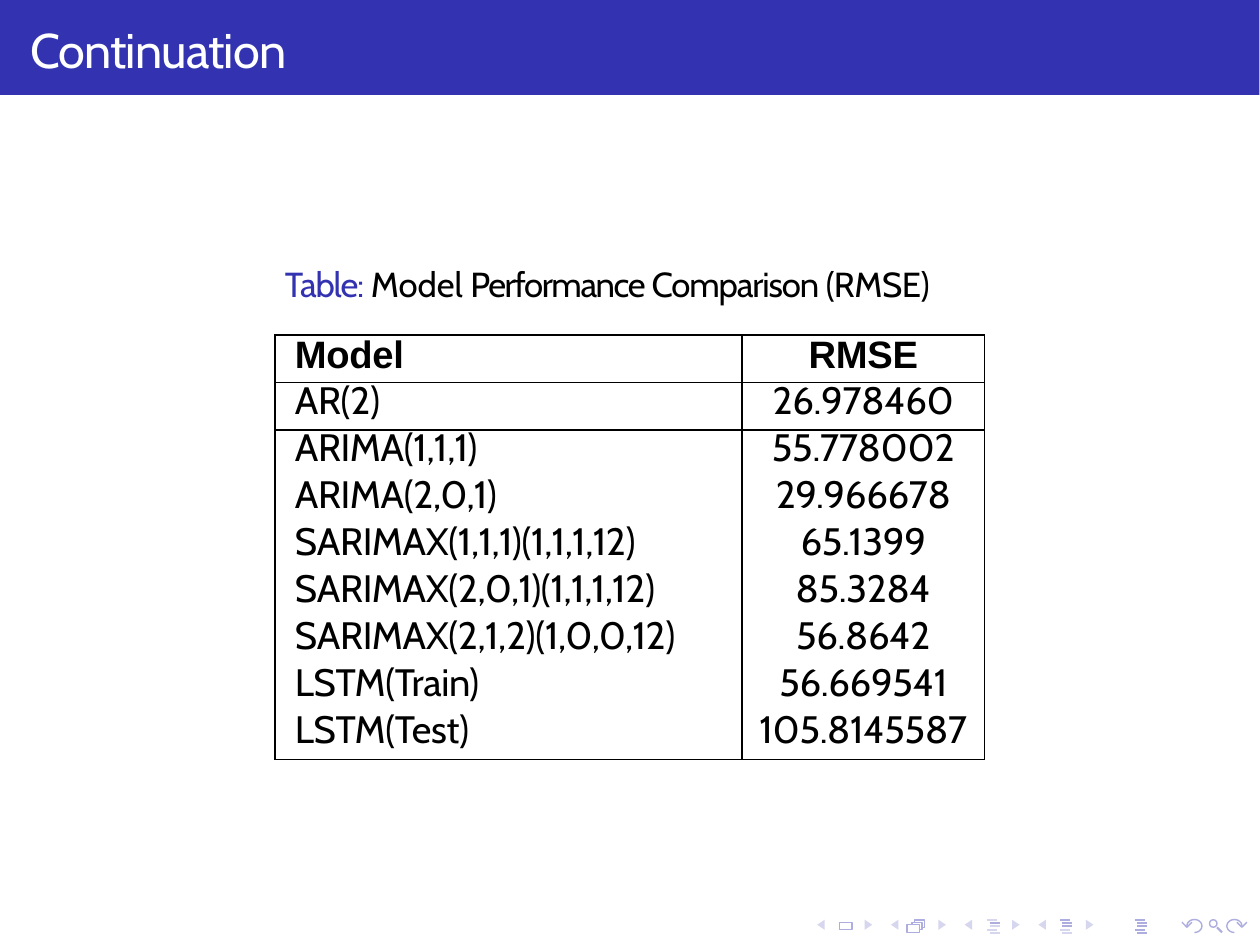
import math

import pptx
import pptx.dml.color
import pptx.enum.shapes
import pptx.enum.text
import pptx.oxml
import pptx.oxml.ns
import pptx.util

Inches, Pt = pptx.util.Inches, pptx.util.Pt
PRESET = pptx.enum.shapes.MSO_SHAPE
ALIGN = pptx.enum.text.PP_ALIGN

BLUE, WHITE, BLACK = "3333B2", "FFFFFF", "000000"
NAV_DARK, NAV_LIGHT = "ADADE0", "D6D6EF"

TITLE = [("Continuation", WHITE, -0.25)]
CAPTION = [  # text, colour, letter spacing in points
    ("Table: ", BLUE, -0.3),
    ("Model ", BLACK, 0),
    ("Performance ", BLACK, -0.4),
    ("Comparison ", BLACK, -0.3),
    ("(RMSE)", BLACK, -0.1),
]
RESULTS = [
    ("Model", "RMSE"),
    ("AR(2)", "26.978460"),
    ("ARIMA(1,1,1)", "55.778002"),
    ("ARIMA(2,0,1)", "29.966678"),
    ("SARIMAX(1,1,1)(1,1,1,12)", "65.1399"),
    ("SARIMAX(2,0,1)(1,1,1,12)", "85.3284"),
    ("SARIMAX(2,1,2)(1,0,0,12)", "56.8642"),
    ("LSTM(Train)", "56.669541"),
    ("LSTM(Test)", "105.8145587"),
]
COLUMN_WIDTHS = (1.87, 0.97)
TABLE_HEIGHT = 1.7
RULED_HEIGHT = 0.19
RULED_ABOVE = (0, 1, 2)  # rows with a line on top

NAV_TOP = 3.68
NAV_PITCH = 0.295
OUTLINE_DARK_BARS = {3.95: (1,), 4.24: (0, 1, 2), 4.54: (0, 1, 2, 3, 4)}
BAR_INDENTS = (0, 0.01, 0.01, 0, 0.01)


def rgb(value):
    return pptx.dml.color.RGBColor.from_string(value)


def style(shape, fill=None, line=None, width=0.4):
    shape.shadow.inherit = False
    if fill:
        shape.fill.solid()
        shape.fill.fore_color.rgb = rgb(fill)
    else:
        shape.fill.background()
    if line:
        shape.line.color.rgb = rgb(line)
        shape.line.width = Pt(width)
    else:
        shape.line.fill.background()


def outline(shapes, contours, closed):
    """Build one freeform from contours given in inches."""
    points = [[(Inches(x), Inches(y)) for x, y in contour] for contour in contours]
    builder = shapes.build_freeform(*points[0][0])
    for number, contour in enumerate(points):
        if number:
            builder.move_to(*contour[0])
        builder.add_line_segments(contour[1:], close=closed)
    return builder.convert_to_shape()


def stroke(shapes, x1, y1, x2, y2, color):
    line = shapes.add_connector(pptx.enum.shapes.MSO_CONNECTOR.STRAIGHT,
                                Inches(x1), Inches(y1), Inches(x2), Inches(y2))
    line.line.color.rgb = rgb(color)
    line.line.width = Pt(0.6)
    line.element.spPr.append(pptx.oxml.parse_xml(
        f"<a:effectLst {pptx.oxml.ns.nsdecls('a')}/>"))


def write(paragraph, runs, size, font="Cabin", bold=False):
    for text, color, spacing in runs:
        run = paragraph.add_run()
        run.text = text
        formats = {"size": Pt(size), "name": font, "bold": bold}
        for key, value in formats.items():
            setattr(run.font, key, value)
        run.font.color.rgb = rgb(color)
        run._r.get_or_add_rPr().set("spc", str(round(spacing * 100)))


def set_text(box, place, runs, size, before):
    for key, value in zip(("left", "top", "width", "height"), place):
        setattr(box, key, Inches(value))
    formats = {
        "margin_left": Inches(0.02), "margin_top": Inches(0.01),
        "margin_right": 0, "margin_bottom": 0, "word_wrap": True,
        "auto_size": pptx.enum.text.MSO_AUTO_SIZE.NONE,
        "vertical_anchor": pptx.enum.text.MSO_ANCHOR.TOP,
    }
    for key, value in formats.items():
        setattr(box.text_frame, key, value)
    paragraph = box.text_frame.paragraphs[0]
    paragraph.alignment = ALIGN.LEFT
    paragraph.space_before = Pt(before)
    write(paragraph, runs, size)


def set_borders(cell, ruled):
    """Draw the ruled sides and clear the others."""
    properties = cell._tc.get_or_add_tcPr()
    black = f'<a:solidFill><a:srgbClr val="{BLACK}"/></a:solidFill>'
    for position, side in enumerate("LRTB"):
        paint = black if side in ruled else "<a:noFill/>"
        properties.insert(position, pptx.oxml.parse_xml(
            f'<a:ln{side} {pptx.oxml.ns.nsdecls("a")} w="6350">{paint}</a:ln{side}>'))


def add_results(shapes):
    last = len(RESULTS) - 1
    table = shapes.add_table(len(RESULTS), 2, Inches(1.1), Inches(1.34),
                             Inches(sum(COLUMN_WIDTHS)), Inches(TABLE_HEIGHT)).table
    table.first_row = table.horz_banding = False
    for column, width in zip(table.columns, COLUMN_WIDTHS):
        column.width = Inches(width)
    ruled_count = len(RULED_ABOVE)
    plain_height = ((TABLE_HEIGHT - ruled_count * RULED_HEIGHT)
                    / (len(RESULTS) - ruled_count))
    for r, values in enumerate(RESULTS):
        table.rows[r].height = Inches(RULED_HEIGHT if r in RULED_ABOVE else plain_height)
        sides = ["L", "R"]
        if r in RULED_ABOVE:
            sides.append("T")
        if r + 1 in RULED_ABOVE or r == last:
            sides.append("B")
        for c, value in enumerate(values):
            cell = table.cell(r, c)
            formats = {"margin_left": 0 if c else Inches(0.08),
                       "margin_right": 0, "margin_top": 0, "margin_bottom": 0}
            for key, amount in formats.items():
                setattr(cell, key, amount)
            cell.fill.background()
            set_borders(cell, sides)
            paragraph = cell.text_frame.paragraphs[0]
            paragraph.alignment = ALIGN.CENTER if c else ALIGN.LEFT
            paragraph.line_spacing = Pt(11.8 if r > 1 else 11.9)
            write(paragraph, [(value, BLACK, -0.1)], 11,
                  "Cabin" if r else "Arial", r == 0)


def add_navigation(shapes):
    top, middle, bottom = NAV_TOP, NAV_TOP + 0.02, NAV_TOP + 0.04
    for group in range(4):
        left = 3.27 + group * NAV_PITCH
        arrows = [[(left + base, top), (left + tip, middle), (left + base, bottom)]
                  for base, tip in ((0.03, 0), (0.19, 0.22))]
        style(outline(shapes, arrows, True), fill=NAV_LIGHT)

    frame = shapes.add_shape(PRESET.RECTANGLE, Inches(3.36), Inches(3.69),
                             Inches(0.05), Inches(0.03))
    style(frame, line=NAV_DARK)

    front = [(3.63, 3.73), (3.68, 3.73), (3.68, 3.7), (3.63, 3.7), (3.63, 3.73)]
    behind = [[(3.65 + d, 3.7 - d), (3.65 + d, 3.69 - d), (3.69 + d, 3.69 - d),
               (3.69 + d, 3.72 - d), (3.68 + d, 3.72 - d)] for d in (0, 0.01)]
    style(outline(shapes, [front] + behind, False), line=NAV_DARK)

    for left, dark in OUTLINE_DARK_BARS.items():
        for bar, indent in enumerate(BAR_INDENTS):
            y = NAV_TOP + bar * 0.013
            stroke(shapes, left + indent, y, left + indent + 0.04, y,
                   NAV_DARK if bar in dark else NAV_LIGHT)

    lens = shapes.add_shape(PRESET.OVAL, Inches(4.84), Inches(3.68),
                            Inches(0.03), Inches(0.03))
    style(lens, line=NAV_DARK)
    stroke(shapes, 4.87, 3.71, 4.89, 3.73, NAV_DARK)

    turns = [math.radians(angle) for angle in range(90, -181, -15)]
    undo = [[(4.78 + 0.03 * math.cos(a), 3.705 + 0.026 * math.sin(a)) for a in turns],
            [(4.77, 3.69), (4.75, 3.71), (4.73, 3.69)]]
    redo = [[(9.72 - x, y) for x, y in contour] for contour in undo]
    style(outline(shapes, undo + redo, False), line=NAV_DARK)


def main():
    deck = pptx.Presentation()
    deck.slide_width, deck.slide_height = Pt(363), Pt(272.5)
    slide = deck.slides.add_slide(deck.slide_layouts[5])
    shapes = slide.shapes

    banner = shapes.add_shape(PRESET.RECTANGLE, 0, 0, Inches(5.04), Inches(0.38))
    style(banner, fill=BLUE)
    shapes.element.insert(2, banner.element)  # behind the title

    set_text(shapes.title, (0.1, 0.07, 1.3, 0.27), TITLE, 14, 1.4)
    caption = shapes.add_textbox(0, 0, 0, 0)
    set_text(caption, (1.12, 1.04, 2.8, 0.19), CAPTION, 10, 0.9)
    add_results(shapes)
    add_navigation(shapes)
    deck.save("out.pptx")


if __name__ == "__main__":
    main()
